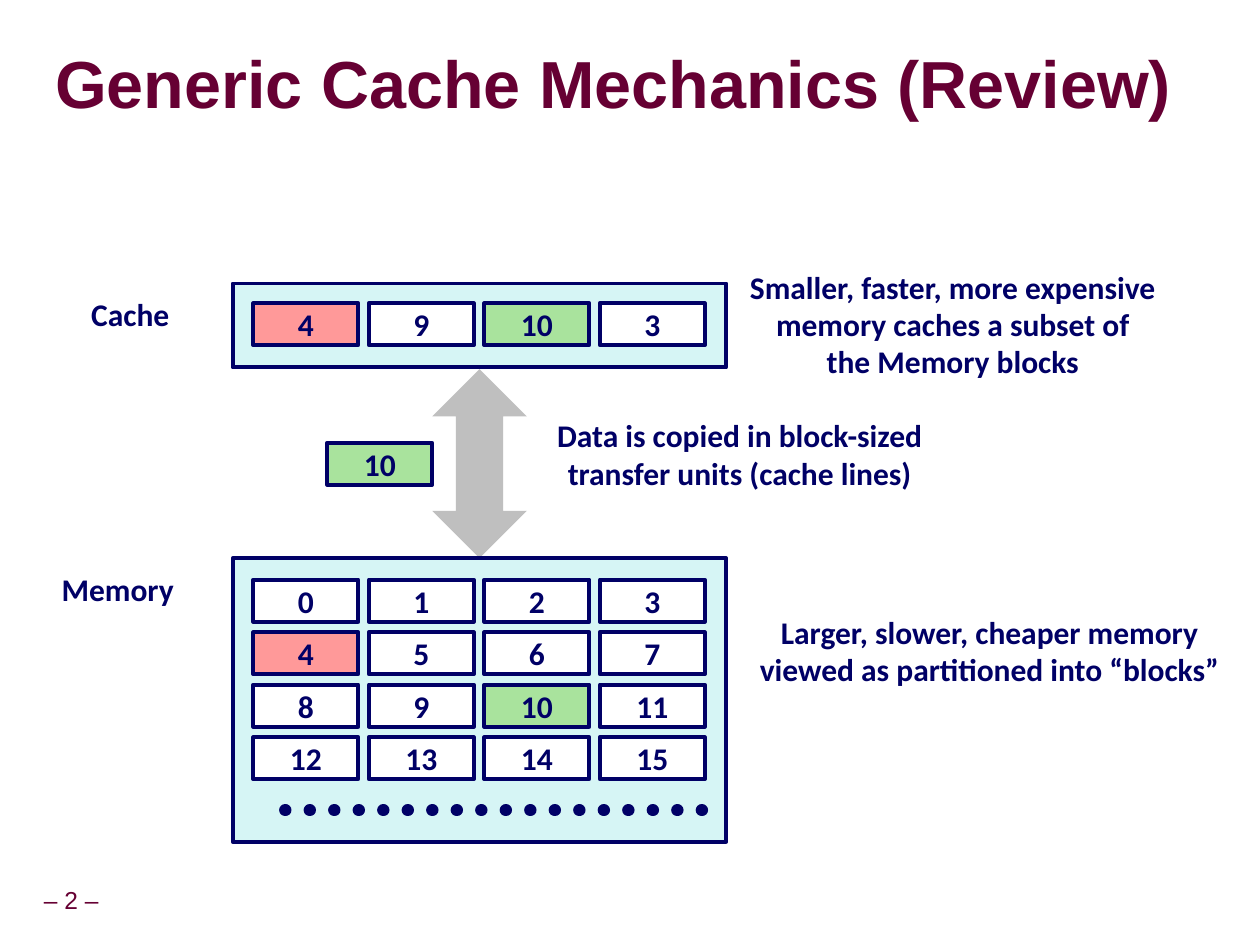
from dataclasses import dataclass

from lxml import etree
from pptx import Presentation
from pptx import util as u
from pptx.dml.color import RGBColor
from pptx.enum import dml, shapes, text
from pptx.oxml.ns import qn

COLORS = {
    "navy": "000066", "maroon": "660033", "panel": "D6F5F5", "arrow": "BFBFBF",
    "plain": "FFFFFF", "red": "FF9999", "green": "A9E39D",
}
HIGHLIGHTS = {4: "red", 10: "green"}
BODY = {"name": "Calibri", "size": u.Pt(18), "bold": True}
TITLE = {"name": "Arial", "size": u.Pt(38), "bold": True}
FOOTER = {"name": "Arial", "size": u.Pt(14), "bold": False}

GRID_X, COLUMN_STEP, ROW_STEP = 144.75, 66, 30
BLOCK_W, BLOCK_H = 60, 24
CACHE_Y, MEMORY_Y = 173.25, 331.25


@dataclass
class Box:
    x: float
    y: float
    w: float
    h: float

    def lengths(self) -> list:
        return [u.Pt(v) for v in (self.x, self.y, self.w, self.h)]


@dataclass
class Label:
    box: Box
    lines: list
    spacing: float = 0.98
    anchor: text.MSO_ANCHOR = text.MSO_ANCHOR.MIDDLE
    wrap: bool = False
    align: text.PP_ALIGN = text.PP_ALIGN.CENTER
    font: dict = None
    color: str = "navy"
    inset: float = None
    fit: bool = True


def rgb(name: str) -> RGBColor:
    return RGBColor.from_string(COLORS[name])


def write(p, line: str, font: dict, color: str, align):
    """Fill a paragraph with one formatted run."""
    p.alignment = align
    r = p.add_run()
    r.text = line
    for key, value in font.items():
        setattr(r.font, key, value)
    r.font.color.rgb = rgb(color)
    return r


def draw_shape(s, kind, box: Box, fill: str, outlined: bool = True):
    sp = s.shapes.add_shape(kind, *box.lengths())
    sp.shadow.inherit = False
    sp.fill.solid()
    sp.fill.fore_color.rgb = rgb(fill)
    if outlined:
        sp.line.color.rgb = rgb("navy")
        sp.line.width = u.Pt(2.25)
    else:
        sp.line.fill.background()
    return sp


def draw_block(s, number: int, x: float, y: float) -> None:
    fill = HIGHLIGHTS.get(number, "plain")
    sp = draw_shape(s, shapes.MSO_SHAPE.RECTANGLE, Box(x, y, BLOCK_W, BLOCK_H), fill)
    tf = sp.text_frame
    tf.vertical_anchor = text.MSO_ANCHOR.MIDDLE
    write(tf.paragraphs[0], str(number), BODY, "navy", text.PP_ALIGN.CENTER)


def draw_grid(s, numbers, top: float) -> None:
    for i, number in enumerate(numbers):
        row, column = divmod(i, 4)
        draw_block(s, number, GRID_X + column * COLUMN_STEP, top + row * ROW_STEP)


def draw_label(s, label: Label) -> list:
    tf = s.shapes.add_textbox(*label.box.lengths()).text_frame
    fit = text.MSO_AUTO_SIZE.SHAPE_TO_FIT_TEXT if label.fit else text.MSO_AUTO_SIZE.NONE
    frame = {"word_wrap": label.wrap, "vertical_anchor": label.anchor, "auto_size": fit}
    if label.inset is not None:
        for side in ("left", "top", "right", "bottom"):
            frame[f"margin_{side}"] = u.Pt(label.inset)
    for key, value in frame.items():
        setattr(tf, key, value)
    runs = []
    for i, line in enumerate(label.lines):
        p = tf.add_paragraph() if i else tf.paragraphs[0]
        p.line_spacing = label.spacing
        runs.append(write(p, line, label.font or BODY, label.color, label.align))
    return runs


def add_text_shadow(r) -> None:
    effects = etree.Element(qn("a:effectLst"))
    shadow = etree.SubElement(effects, qn("a:outerShdw"), dist="38100", dir="2700000")
    etree.SubElement(shadow, qn("a:srgbClr"), val="C0C0C0")
    r.font.fill._xPr.find(qn("a:solidFill")).addnext(effects)


def draw_dots(s, x1: float, x2: float, y: float) -> None:
    """Dotted row that stands for the remaining memory blocks."""
    line = s.shapes.add_connector(
        shapes.MSO_CONNECTOR.STRAIGHT, u.Pt(x1), u.Pt(y), u.Pt(x2), u.Pt(y))
    line.line.color.rgb = rgb("navy")
    line.line.width = u.Pt(7)
    line.line.dash_style = dml.MSO_LINE.ROUND_DOT
    sp_pr = line._element.spPr
    sp_pr.find(qn("a:ln")).set("cap", "rnd")
    etree.SubElement(sp_pr, qn("a:effectLst"))


def main() -> None:
    prs = Presentation()
    prs.slide_width, prs.slide_height = u.Pt(720), u.Pt(540)
    s = prs.slides.add_slide(prs.slide_layouts[6])
    rectangle = shapes.MSO_SHAPE.RECTANGLE

    # Page number and title
    draw_label(s, Label(Box(-6.5, 504, 94.5, 22.5), ["– 2 –"], 0.9,
                        font=FOOTER, color="maroon", inset=3.6))
    title = Label(Box(31.5, 19.5, 686, 61), ["Generic Cache Mechanics (Review)"], 0.87,
                  wrap=True, align=text.PP_ALIGN.LEFT, font=TITLE, color="maroon",
                  inset=0, fit=False)
    add_text_shadow(draw_label(s, title)[0])

    # Transfer arrow and the two panels
    draw_shape(s, shapes.MSO_SHAPE.UP_DOWN_ARROW, Box(247, 211, 54, 108), "arrow", False)
    draw_shape(s, rectangle, Box(133, 319, 282, 162), "panel")
    draw_shape(s, rectangle, Box(133, 162, 282, 48), "panel")

    # Blocks in memory, in the cache and in transit
    draw_grid(s, range(16), MEMORY_Y)
    draw_dots(s, 163, 403, 463)
    draw_grid(s, [4, 9, 10, 3], CACHE_Y)
    draw_block(s, 10, 187, 253)

    # Names and explanations
    top = text.MSO_ANCHOR.TOP
    for label in (
        Label(Box(45, 167.75, 59, 26.5), ["Cache"], 0.9, top),
        Label(Box(28, 324.75, 78.5, 26.5), ["Memory"], 0.9, top),
        Label(Box(427, 348, 277, 49.5),
              ["Larger, slower, cheaper memory", "viewed as partitioned into “blocks”"]),
        Label(Box(293.5, 235.5, 258.5, 49.5),
              ["Data is copied in block-sized transfer units (cache lines)"], wrap=True),
        Label(Box(419.5, 150.5, 250, 71),
              ["Smaller, faster, more expensive", "memory caches a subset of",
               "the Memory blocks"]),
    ):
        draw_label(s, label)

    prs.save("out.pptx")


if __name__ == "__main__":
    main()
